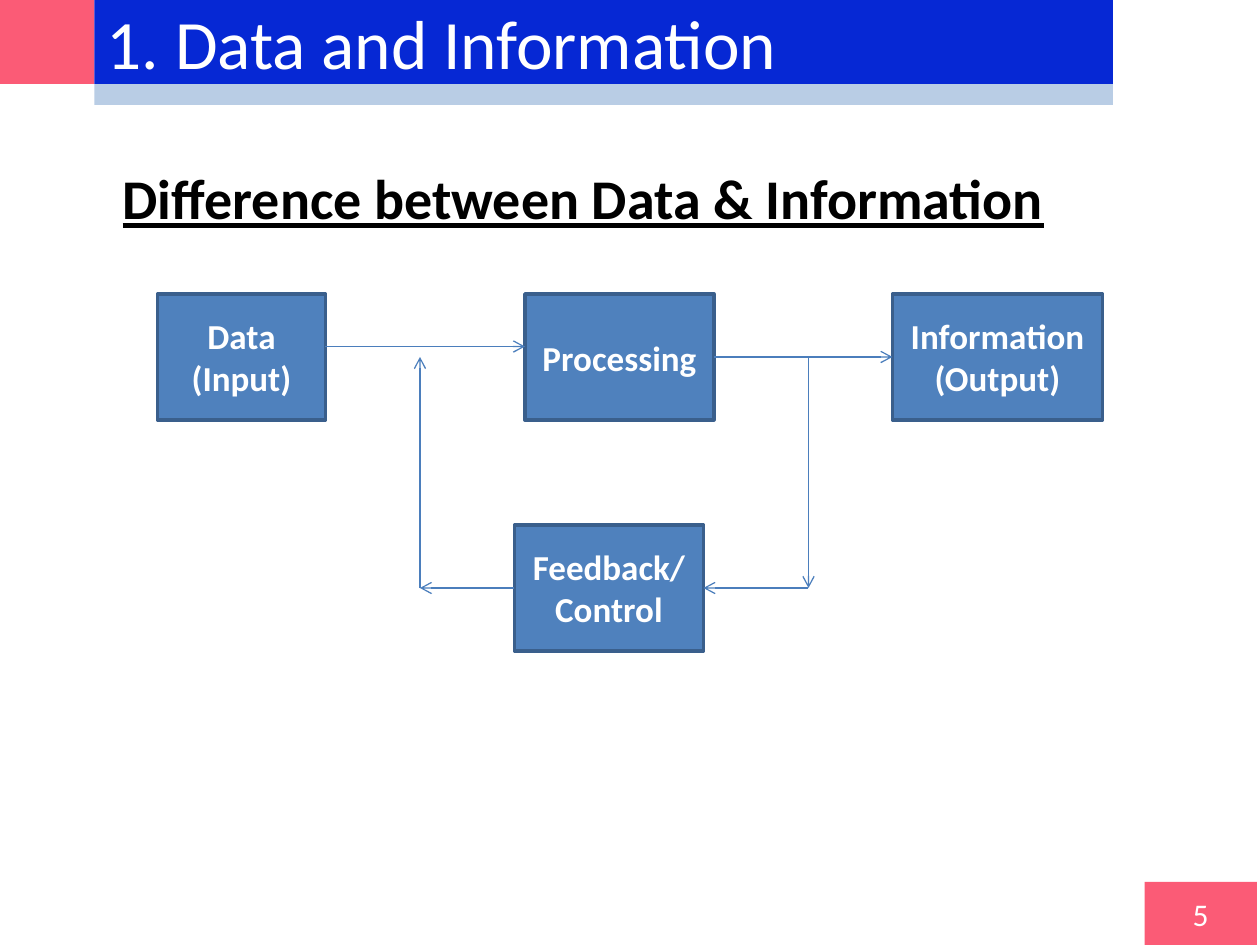
from lxml.etree import SubElement
from pptx import Presentation
from pptx.dml.color import RGBColor
from pptx.enum.shapes import MSO_CONNECTOR as CONN, MSO_SHAPE as SHAPE
from pptx.enum.text import MSO_ANCHOR as ANCHOR, PP_ALIGN as ALIGN
from pptx.oxml.ns import qn
from pptx.util import Emu, Pt

PX = 7620
FONT = "Calibri"
WHITE, BLACK = "FFFFFF", "000000"
PINK, BLUE, PALE = "FB5B76", "0628D4", "B9CDE5"
BLOCK, EDGE, ARROW = "4F81BD", "3A5F8C", "4B7EBC"


def px(*values):
    """Turn pixel lengths into EMU."""
    return [Emu(v * PX) for v in values]


def rgb(value):
    """Turn a hex string into a colour."""
    return RGBColor.from_string(value)


def write(sp, text, size, color, align=ALIGN.LEFT, bold=False, underline=False):
    """Put one wrapped line of text into a shape and return its paragraph."""
    tf = sp.text_frame
    tf.word_wrap = True
    p = tf.paragraphs[0]
    p.alignment = align
    r = p.add_run()
    r.text = text
    r.font.name, r.font.size = FONT, Pt(size)
    r.font.bold, r.font.underline = bold, underline
    r.font.color.rgb = rgb(color)
    return p


def add_rect(s, box, fill, edge=None):
    """Add a flat rectangle with an optional outline."""
    sp = s.shapes.add_shape(SHAPE.RECTANGLE, *px(*box))
    sp.shadow.inherit = False
    sp.fill.solid()
    sp.fill.fore_color.rgb = rgb(fill)
    if edge:
        sp.line.color.rgb = rgb(edge)
        sp.line.width = Pt(2)
    else:
        sp.line.fill.background()
    sp.text_frame.vertical_anchor = ANCHOR.MIDDLE
    return sp


def add_arrow(s, start, end):
    """Add a thin straight line with an open arrowhead at its end."""
    line = s.shapes.add_connector(CONN.STRAIGHT, *px(*start, *end))
    line.line.color.rgb = rgb(ARROW)
    line.line.width = Pt(0.75)
    SubElement(line.line._get_or_add_ln(), qn("a:tailEnd"), type="arrow")
    SubElement(line._element.spPr, qn("a:effectLst"))


def add_header(s, box, title):
    """Draw the title bar with its accent square and pale under-strip."""
    x, y, w, h = box
    accent, bar, strip = 90, 80, h - 80
    add_rect(s, (x, y, accent, bar), PINK)
    add_rect(s, (x + accent, y + bar, w - accent, strip), PALE)
    sp = add_rect(s, (x + accent, y, w - accent, bar), BLUE)
    write(sp, title, 39.6, WHITE)


def add_heading(s, box, text):
    """Add the underlined heading, indented from the left of its box."""
    sp = s.shapes.add_textbox(*px(*box))
    p = write(sp, text, 32, BLACK, bold=True, underline=True)
    p._p.get_or_add_pPr().set("marL", str(45 * PX))


def add_flow(s, box):
    """Draw the processing row with its feedback loop underneath."""
    x, y, w, h = box
    block_h = 120
    mid, low = block_h // 2, h - block_h // 2
    blocks = [
        ("Data (Input)", 0, 0, 160),
        ("Processing", 350, 0, 180),
        ("Information (Output)", w - 200, 0, 200),
        ("Feedback/Control", 340, h - block_h, 180),
    ]
    for text, left, top, width in blocks:
        sp = add_rect(s, (x + left, y + top, width, block_h), BLOCK, EDGE)
        write(sp, text, 20, WHITE, ALIGN.CENTER, bold=True)

    back, down = 250, 620
    arrows = [
        ((530, mid), (w - 200, mid)),
        ((340, low), (back, low)),
        ((down, low), (520, low)),
        ((down, mid), (down, low)),
        ((back, low), (back, mid)),
        ((160, 50), (350, 50)),
    ]
    for (x1, y1), (x2, y2) in arrows:
        add_arrow(s, (x + x1, y + y1), (x + x2, y + y2))


def add_page_number(s, box, number):
    """Draw the page number on its coloured tile."""
    write(add_rect(s, box, PINK), number, 18, WHITE, ALIGN.CENTER)


def main():
    """Build and save the slide."""
    prs = Presentation()
    prs.slide_width, prs.slide_height = px(1200, 900)
    s = prs.slides.add_slide(prs.slide_layouts[6])
    add_header(s, (0, 0, 1060, 100), "1. Data and Information")
    add_heading(s, (60, 150, 1080, 630), "Difference between Data & Information")
    add_page_number(s, (1090, 840, 107, 60), "5")
    add_flow(s, (150, 280, 900, 340))
    prs.save("out.pptx")


if __name__ == "__main__":
    main()
